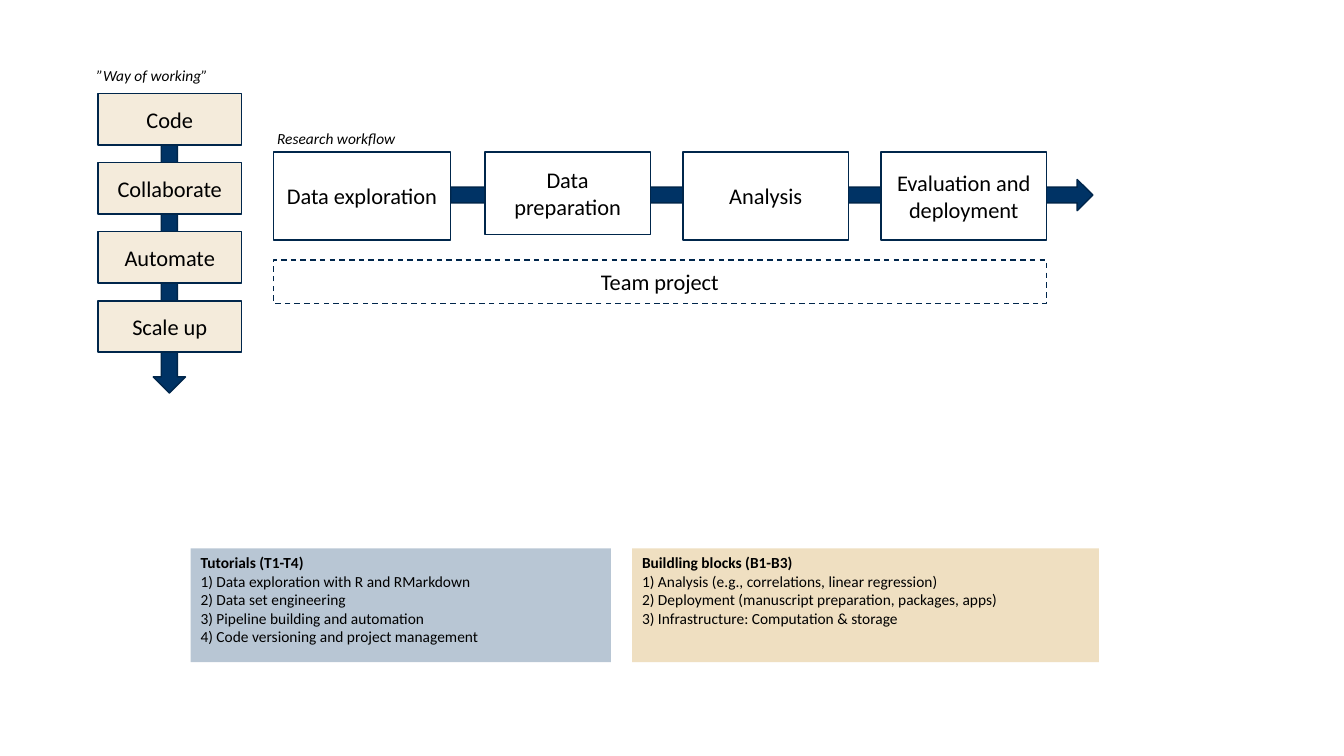
from dataclasses import dataclass
from typing import Optional

from lxml import etree
from pptx import Presentation
from pptx.dml.color import RGBColor
from pptx.enum.dml import MSO_LINE
from pptx.enum.shapes import MSO_SHAPE
from pptx.enum.text import MSO_ANCHOR, MSO_AUTO_SIZE, PP_ALIGN
from pptx.oxml.ns import qn
from pptx.util import Inches, Pt

RECTANGLE = MSO_SHAPE.RECTANGLE
RIGHT_ARROW, DOWN_ARROW = MSO_SHAPE.RIGHT_ARROW, MSO_SHAPE.DOWN_ARROW
CENTER, LEFT = PP_ALIGN.CENTER, PP_ALIGN.LEFT
MIDDLE, TOP = MSO_ANCHOR.MIDDLE, MSO_ANCHOR.TOP
DASH = MSO_LINE.DASH
FIT_SHAPE = MSO_AUTO_SIZE.SHAPE_TO_FIT_TEXT

NAVY = RGBColor(0x00, 0x33, 0x65)
DARK_NAVY = RGBColor(0x00, 0x26, 0x4B)
GOLD = RGBColor(0xCC, 0x98, 0x32)
CREAM = RGBColor(0xF4, 0xEB, 0xDB)
WHITE = RGBColor(0xFF, 0xFF, 0xFF)
BLACK = RGBColor(0x00, 0x00, 0x00)

SLIDE_WIDTH, SLIDE_HEIGHT = Inches(13.33), Inches(7.5)

BODY_FORMAT = {"name": "Calibri", "size": Pt(16), "bold": False, "italic": False}
LEGEND_FORMAT = BODY_FORMAT | {"size": Pt(11)}
HEADING_FORMAT = LEGEND_FORMAT | {"bold": True}
CAPTION_FORMAT = LEGEND_FORMAT | {"italic": True}


@dataclass(frozen=True)
class Area:
    """A place on the slide, in percent of its width and height."""
    left: float
    top: float
    width: float
    height: float

    def lengths(self) -> tuple[int, int, int, int]:
        return (round(SLIDE_WIDTH * self.left / 100), round(SLIDE_HEIGHT * self.top / 100),
                round(SLIDE_WIDTH * self.width / 100), round(SLIDE_HEIGHT * self.height / 100))


@dataclass(frozen=True)
class Block:
    """An outlined rectangle with centred text."""
    lines: tuple[str, ...]
    area: Area
    fill: RGBColor = WHITE
    dash: Optional[MSO_LINE] = None


@dataclass(frozen=True)
class Legend:
    heading: str
    entries: tuple[str, ...]
    area: Area
    fill: RGBColor
    opacity: int


@dataclass(frozen=True)
class Caption:
    text: str
    area: Area


ARROWS = (
    (RIGHT_ARROW, Area(33.53, 23.73, 47.78, 4.13)),
    (DOWN_ARROW, Area(11.4, 16.8, 2.4, 35.2)),
)

STEP_PITCH, STAGE_PITCH = 9.13, 14.74
STEPS = tuple(
    Block((name,), Area(7.28, 12.4 + row * STEP_PITCH, 10.7, 6.8), CREAM)
    for row, name in enumerate(("Code", "Collaborate", "Automate", "Scale up"))
)
LATER_STAGES = (
    (("Data", "preparation"), 10.93),
    (("Analysis",), 11.6),
    (("Evaluation and deployment",), 11.6),
)
STAGES = (Block(("Data exploration",), Area(20.33, 20.13, 13.2, 11.6)),) + tuple(
    Block(lines, Area(36.08 + column * STAGE_PITCH, 20.13, 12.3, height))
    for column, (lines, height) in enumerate(LATER_STAGES)
)
TEAM_PROJECT = Block(("Team project",), Area(20.33, 34.4, 57.53, 5.73), dash=DASH)

LEGENDS = (
    Legend("Tutorials (T1-T4)", (
        "Data exploration with R and RMarkdown",
        "Data set engineering",
        "Pipeline building and automation",
        "Code versioning and project management",
    ), Area(14.18, 73.1, 31.5, 15.2), NAVY, 28),
    Legend("Buildling blocks (B1-B3)", (
        "Analysis (e.g., correlations, linear regression)",
        "Deployment (manuscript preparation, packages, apps)",
        "Infrastructure: Computation & storage",
    ), Area(47.3, 73.1, 34.95, 15.2), GOLD, 30),
)
LEGENDS = tuple(
    Legend(legend.heading, legend.entries, Area(left, 72.53, width, 15.07),
           legend.fill, legend.opacity)
    for legend, left, width in zip(LEGENDS, (14.18, 47.03), (31.28, 34.73))
)

CAPTIONS = (
    Caption("Research workflow", Area(19.88, 16.4, 10.43, 3.87)),
    Caption("”Way of working”", Area(6.45, 8.13, 9.9, 3.87)),
)


def write_lines(frame, lines: list[tuple[str, dict]], alignment: PP_ALIGN) -> None:
    for index, (text, text_format) in enumerate(lines):
        para = frame.paragraphs[0] if index == 0 else frame.add_paragraph()
        para.alignment = alignment
        span = para.add_run()
        span.text = text
        span.font.color.rgb = BLACK
        for attribute, value in text_format.items():
            setattr(span.font, attribute, value)


def add_filled_shape(page, kind: MSO_SHAPE, area: Area, fill: RGBColor):
    shape = page.shapes.add_shape(kind, *area.lengths())
    shape.shadow.inherit = False
    shape.fill.solid()
    shape.fill.fore_color.rgb = fill
    return shape


def outline(shape, dash: Optional[MSO_LINE] = None) -> None:
    shape.line.color.rgb = DARK_NAVY
    shape.line.width = Pt(1)
    if dash is not None:
        shape.line.dash_style = dash


def add_block(page, block: Block) -> None:
    box = add_filled_shape(page, RECTANGLE, block.area, block.fill)
    outline(box, block.dash)
    box.text_frame.word_wrap = True
    box.text_frame.vertical_anchor = MIDDLE
    write_lines(box.text_frame, [(line, BODY_FORMAT) for line in block.lines], CENTER)


def add_legend(page, legend: Legend) -> None:
    box = add_filled_shape(page, RECTANGLE, legend.area, legend.fill)
    box.line.fill.background()
    color = box.fill._xPr.find(qn("a:solidFill"))[0]
    etree.SubElement(color, qn("a:alpha"), val=str(legend.opacity * 1000))
    box.text_frame.word_wrap = True
    box.text_frame.vertical_anchor = TOP
    entries = [(f"{number}) {entry}", LEGEND_FORMAT)
               for number, entry in enumerate(legend.entries, start=1)]
    write_lines(box.text_frame, [(legend.heading, HEADING_FORMAT)] + entries, LEFT)


def add_caption(page, caption: Caption) -> None:
    box = page.shapes.add_textbox(*caption.area.lengths())
    box.text_frame.word_wrap = False
    box.text_frame.auto_size = FIT_SHAPE
    write_lines(box.text_frame, [(caption.text, CAPTION_FORMAT)], LEFT)


def main() -> None:
    deck = Presentation()
    deck.slide_width, deck.slide_height = SLIDE_WIDTH, SLIDE_HEIGHT
    page = deck.slides.add_slide(deck.slide_layouts[6])
    for kind, area in ARROWS:
        outline(add_filled_shape(page, kind, area, NAVY))
    for block in (*STAGES, *STEPS, TEAM_PROJECT):
        add_block(page, block)
    for legend in LEGENDS:
        add_legend(page, legend)
    for caption in CAPTIONS:
        add_caption(page, caption)
    deck.save("out.pptx")


if __name__ == "__main__":
    main()
